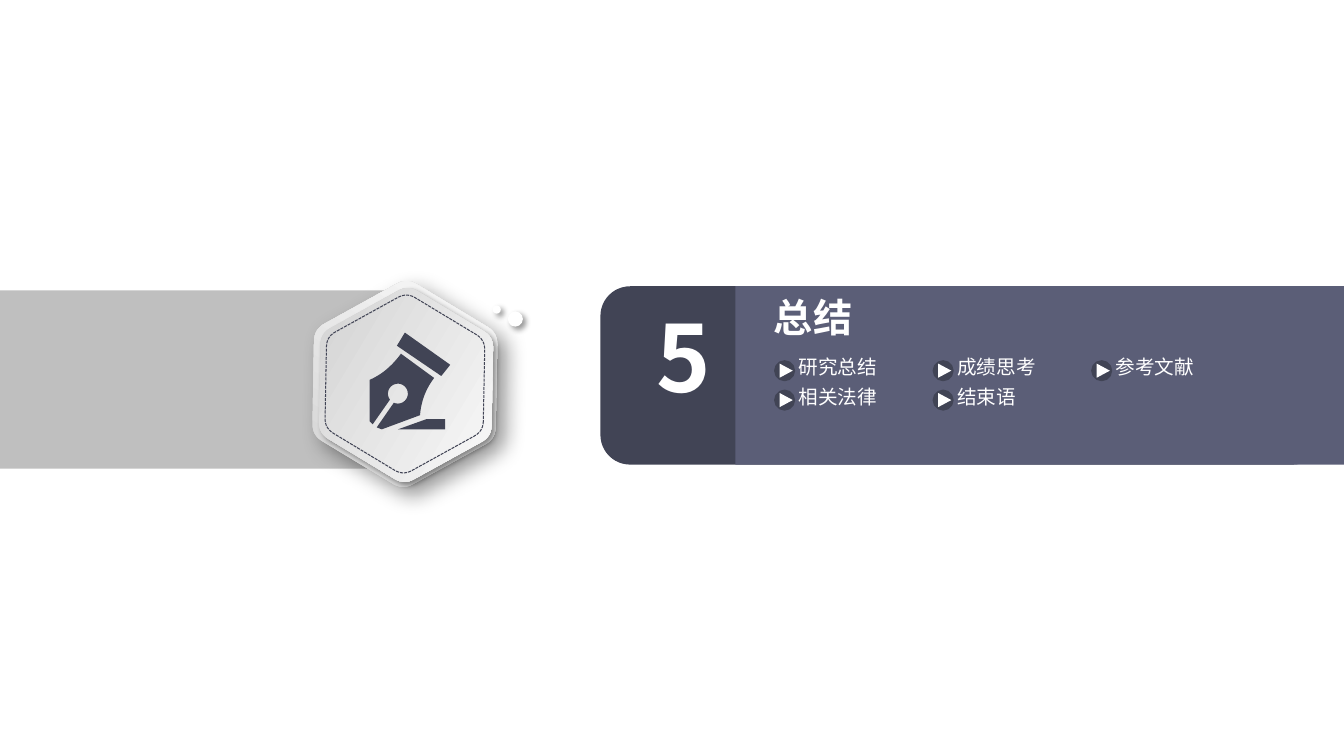
import math
import pptx
import pptx.dml.color
import pptx.enum.dml
import pptx.enum.shapes
import pptx.enum.text
import pptx.oxml
import pptx.oxml.ns
import pptx.util

Pt = pptx.util.Pt
PRESET = pptx.enum.shapes.MSO_SHAPE

NUMBER = "5"
TITLE = "总结"
TOPICS = [["研究总结", "成绩思考", "参考文献"], ["相关法律", "结束语"]]

THEME = {
    "font": "Noto Sans CJK SC", "white": "FFFFFF", "gray": "BFBFBF",
    "dark": "414455", "slate": "5B5E77", "gradient": ("D3D3D3", "F9F9F9"),
    "number": 66, "title": 28, "topic": 14,
}
SLIDE_WIDTH, SLIDE_HEIGHT = 960.48, 540
BAND_TOP, BAND_HEIGHT = 204.5, 127.4
PANEL_LEFT = 525.6
TOPIC_LEFT, TOPIC_TOP, COLUMN_STEP, ROW_STEP = 570.8, 255.6, 113.3, 21
SMALL_SHADOW = {"blur": 4, "distance": 3}
LARGE_SHADOW = {"blur": 15, "distance": 9}
BADGE_LAYERS = [
    {"center": (289.4, 274.3), "radius": 75.6, "angle": 59.1, "shadow": LARGE_SHADOW},
    {"center": (290.2, 275), "radius": 71.2, "angle": 329.1, "shadow": SMALL_SHADOW},
    {"center": (289.4, 274.3), "radius": 65.3, "line": THEME["dark"]},
]
BADGE_TILT, CORNER_SHARE = 1.1, 0.11
DOTS = [(352.1, 218.2, 5.8), (362.9, 222.5, 10.8)]
PEN_FOOT = [(284.4, 306.7), (318.2, 306.7), (318.2, 299.5), (304.6, 299.5)]
PEN_CAP = [(315.4, 268.6), (321.8, 260.6), (289.4, 237.6), (283.7, 247)]


def color(name):
    return pptx.dml.color.RGBColor.from_string(name)


def bezier(controls, steps=10):
    points = []
    for step in range(steps + 1):
        share, level = step / steps, controls
        while len(level) > 1:
            level = [(a[0] + (b[0] - a[0]) * share, a[1] + (b[1] - a[1]) * share)
                     for a, b in zip(level, level[1:])]
        points.append(level[0])
    return points


def polar(center, radius, degrees):
    angle = math.radians(degrees)
    return center[0] + radius * math.cos(angle), center[1] + radius * math.sin(angle)


def rounded_hexagon(center, radius):
    corners = [polar(center, radius, 60 * index + 30 + BADGE_TILT) for index in range(6)]
    points = []
    for index, corner in enumerate(corners):
        start, end = [tuple(c + (n - c) * CORNER_SHARE for c, n in zip(corner, neighbor))
                      for neighbor in (corners[index - 1], corners[(index + 1) % 6])]
        points += bezier([start, corner, end])
    return points


def pen_nib():
    eye = [polar((284.4, 281.2), 7.1, 114 - 331 * step / 40) for step in range(41)]
    return ([(266.4, 303.1), (264.2, 301)]
            + bezier([(264.2, 271.4), (273.6, 267.1), (280.1, 261.4), (286.6, 252.7)])
            + bezier([(310.3, 270), (303.8, 278.6), (301, 287.3), (300.2, 296.6)])
            + [(272.9, 306.7), (269.3, 305.3)] + eye)


def style(shape, fill=None, line=None, weight=0.75, shadow=None):
    shape.shadow.inherit = False
    if fill:
        shape.fill.solid()
        shape.fill.fore_color.rgb = color(fill)
    else:
        shape.fill.background()
    if line:
        shape.line.color.rgb = color(line)
        shape.line.width = Pt(weight)
    else:
        shape.line.fill.background()
    if shadow:
        effects = shape._element.spPr.find(pptx.oxml.ns.qn("a:effectLst"))
        effects.append(pptx.oxml.parse_xml(
            f'<a:outerShdw {pptx.oxml.ns.nsdecls("a")} blurRad="{Pt(shadow["blur"])}" '
            f'dist="{Pt(shadow["distance"])}" dir="2700000" algn="tl" rotWithShape="0">'
            '<a:srgbClr val="000000"><a:alpha val="40000"/></a:srgbClr></a:outerShdw>'))
    return shape


def add_preset(slide, preset, left, top, width, height, **format):
    shape = slide.shapes.add_shape(preset, Pt(left), Pt(top), Pt(width), Pt(height))
    return style(shape, **format)


def add_outline(slide, contours, **format):
    builder = None
    for contour in contours:
        points = [(Pt(x), Pt(y)) for x, y in contour]
        if builder is None:
            builder = slide.shapes.build_freeform(*points[0], scale=1.0)
        else:
            builder.move_to(*points[0])
        builder.add_line_segments(points[1:], close=True)
    return style(builder.convert_to_shape(), **format)


def add_text(slide, text, left, top, width, height, size, bold=False, align="LEFT"):
    frame = slide.shapes.add_textbox(Pt(left), Pt(top), Pt(width), Pt(height)).text_frame
    frame.word_wrap = True
    frame.margin_left = frame.margin_right = frame.margin_top = frame.margin_bottom = 0
    paragraph = frame.paragraphs[0]
    paragraph.alignment = getattr(pptx.enum.text.PP_ALIGN, align)
    paragraph.line_spacing = 0.9
    run = paragraph.add_run()
    run.text = text
    run.font.size = Pt(size)
    run.font.bold = bold
    run.font.color.rgb = color(THEME["white"])
    run.font.name = THEME["font"]
    run.font._element.append(pptx.oxml.parse_xml(
        f'<a:ea {pptx.oxml.ns.nsdecls("a")} typeface="{THEME["font"]}"/>'))


def add_badge(slide):
    for layer in BADGE_LAYERS:
        outline = rounded_hexagon(layer["center"], layer["radius"])
        shape = add_outline(slide, [outline], line=layer.get("line"),
                            shadow=layer.get("shadow"))
        if "angle" in layer:
            shape.fill.gradient()
            shape.fill.gradient_angle = layer["angle"]
            for stop, name in zip(shape.fill.gradient_stops, THEME["gradient"]):
                stop.color.rgb = color(name)
        else:
            shape.line.dash_style = pptx.enum.dml.MSO_LINE.SQUARE_DOT
    for left, top, size in DOTS:
        add_preset(slide, PRESET.OVAL, left, top, size, size,
                   fill=THEME["white"], shadow=SMALL_SHADOW)


def add_topic(slide, text, left, top):
    add_text(slide, text, left, top, 97, 17.3, THEME["topic"])
    add_preset(slide, PRESET.OVAL, left - 16.6, top + 2.7, 13, 13,
               fill=THEME["dark"], line=THEME["dark"], weight=2)
    arrow = add_preset(slide, PRESET.ISOSCELES_TRIANGLE, left - 14, top + 4.5, 10.1, 9.4,
                       fill=THEME["white"])
    arrow.rotation = 90


def main():
    presentation = pptx.Presentation()
    presentation.slide_width, presentation.slide_height = Pt(SLIDE_WIDTH), Pt(SLIDE_HEIGHT)
    slide = presentation.slides.add_slide(presentation.slide_layouts[6])
    add_preset(slide, PRESET.RECTANGLE, 0, 207.4, 293, BAND_HEIGHT, fill=THEME["gray"])
    add_badge(slide)
    add_preset(slide, PRESET.ROUNDED_RECTANGLE, 429.1, BAND_TOP, 516.2, BAND_HEIGHT,
               fill=THEME["dark"])
    add_preset(slide, PRESET.RECTANGLE, PANEL_LEFT, BAND_TOP, SLIDE_WIDTH - PANEL_LEFT,
               BAND_HEIGHT, fill=THEME["slate"])
    add_text(slide, NUMBER, 463, 223.2, 52, 87, THEME["number"], bold=True, align="CENTER")
    add_text(slide, TITLE, 553.1, 213.1, 205, 36, THEME["title"], bold=True)
    for row, topics in enumerate(TOPICS):
        for column, topic in enumerate(topics):
            add_topic(slide, topic, TOPIC_LEFT + column * COLUMN_STEP,
                      TOPIC_TOP + row * ROW_STEP)
    add_outline(slide, [pen_nib(), PEN_FOOT, PEN_CAP], fill=THEME["dark"])
    presentation.save("out.pptx")


if __name__ == "__main__":
    main()
